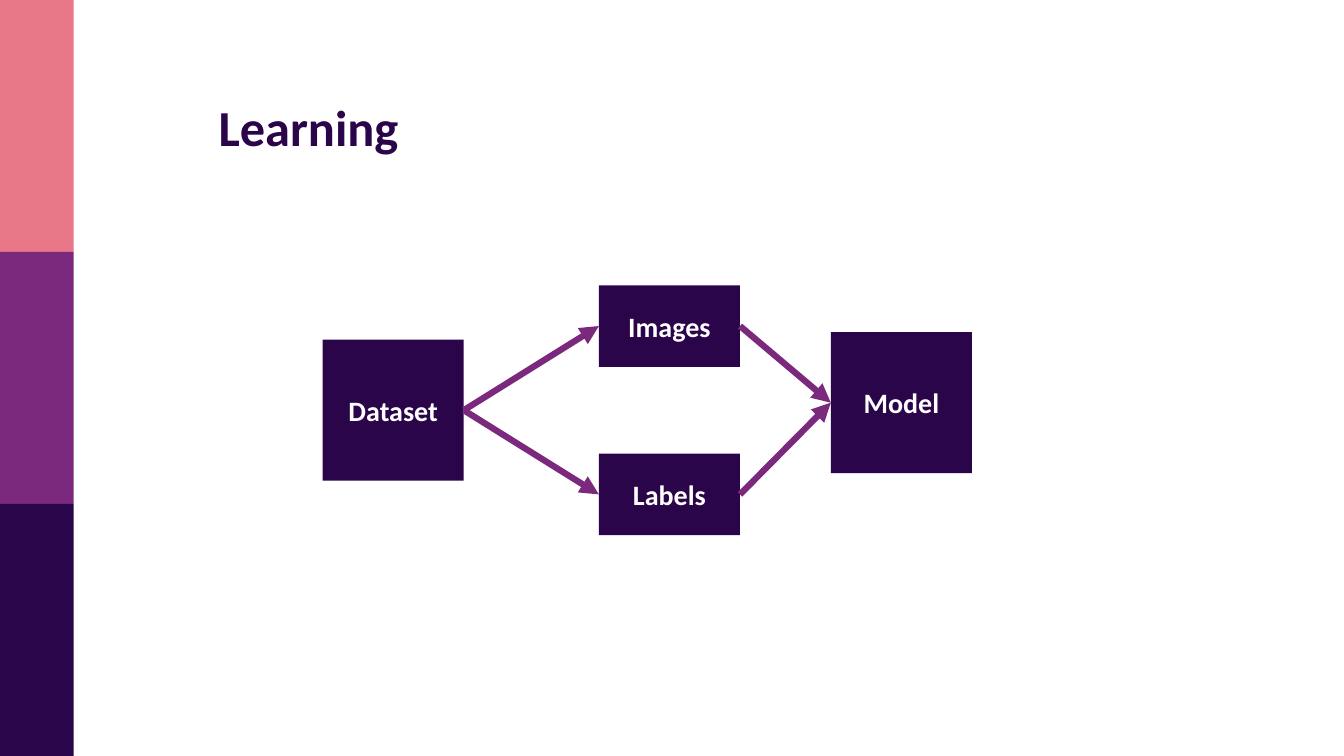
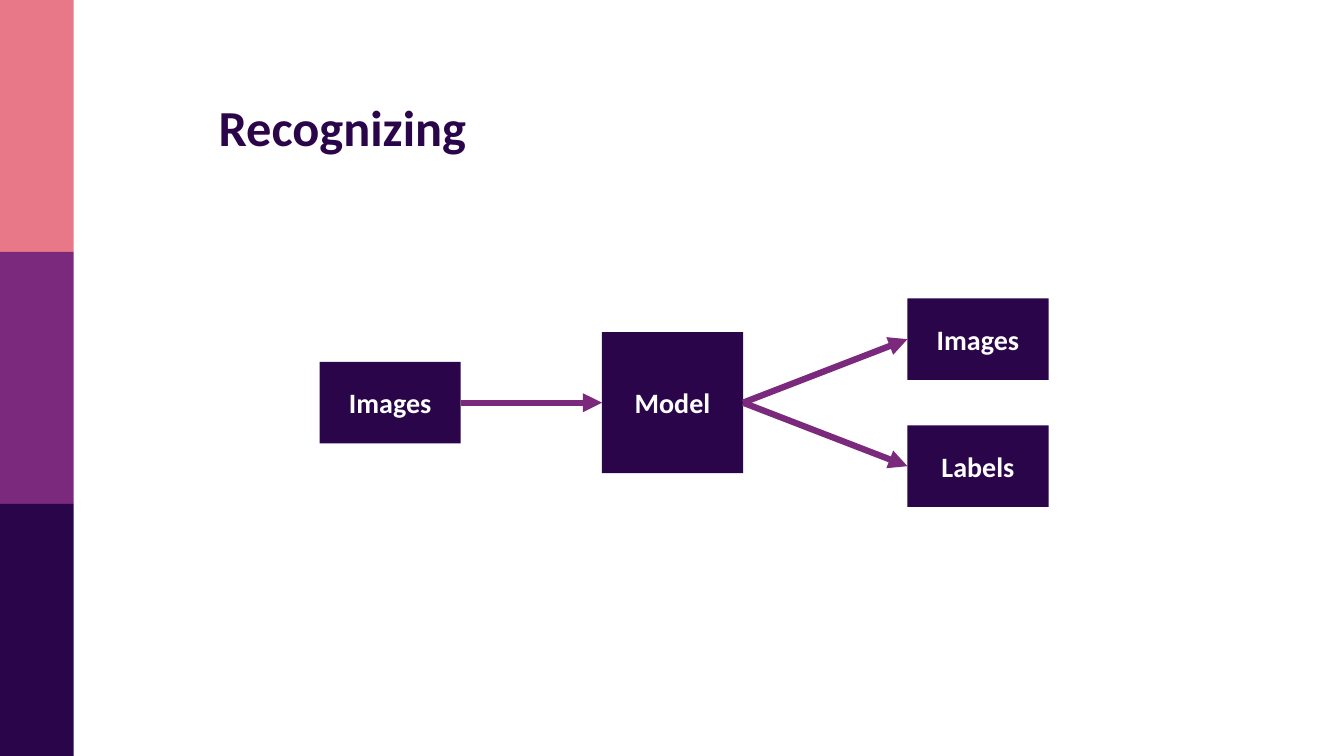
import pptx
import pptx.util
import pptx.dml.color
import pptx.enum.shapes
import pptx.enum.text
import pptx.oxml
import pptx.oxml.ns

COLORS = {"pink": "E87888", "purple": "7B297D", "indigo": "2B0549", "white": "FFFFFF"}
FONT = "Calibri"
SLIDE_W, SLIDE_H = pptx.util.Inches(13.33), pptx.util.Inches(7.5)
BAND_BOX = (0, 0, pptx.util.Inches(0.73), SLIDE_H)
TITLE_BOX = tuple(pptx.util.Inches(v) for v in (2.07, 0.9, 9.67, 0.71))
DIAGRAM_BOX = tuple(pptx.util.Inches(v) for v in (2, 2.5, 10, 3))
COLS, ROWS = 100, 30
NODE_COLS = 14
TALL, SHORT = 14, 8.1
RIGHT, LEFT = 3, 1

DIAGRAMS = [
    ("Learning",
     {"dataset": ("Dataset", 12, 15.7, TALL),
      "images": ("Images", 39.4, 15.7 - 8.35, SHORT),
      "labels": ("Labels", 39.4, 15.7 + 8.35, SHORT),
      "model": ("Model", 62.4, 14.95, TALL)},
     [("dataset", "images"), ("dataset", "labels"), ("images", "model"), ("labels", "model")]),
    ("Recognizing",
     {"input": ("Images", 11.7, 14.95, SHORT),
      "model": ("Model", 39.7, 14.95, TALL),
      "images": ("Images", 70, 14.95 - 6.3, SHORT),
      "labels": ("Labels", 70, 14.95 + 6.3, SHORT)},
     [("input", "model"), ("model", "images"), ("model", "labels")]),
]


def rgb(name):
    return pptx.dml.color.RGBColor.from_string(COLORS[name])


def add_rect(shapes, box, color):
    sp = shapes.add_shape(pptx.enum.shapes.MSO_SHAPE.RECTANGLE, *(int(v) for v in box))
    sp.shadow.inherit = False
    sp.fill.solid()
    sp.fill.fore_color.rgb = rgb(color)
    sp.line.fill.background()
    return sp


def write(tf, text, size, color, align):
    tf.text = text
    tf.word_wrap = True
    p = tf.paragraphs[0]
    p.alignment = align
    font = p.runs[0].font
    font.name, font.size, font.bold = FONT, pptx.util.Pt(size), True
    font.color.rgb = rgb(color)


def add_bands(s, box):
    x, y, w, h = box
    group = s.shapes.add_group_shape()
    names = ("pink", "purple", "indigo")
    for i, name in enumerate(names):
        add_rect(group.shapes, (x, y + i * h / len(names), w, h / len(names)), name)


def add_title(s, box, text):
    tf = s.shapes.add_textbox(*box).text_frame
    write(tf, text, 36, "indigo", pptx.enum.text.PP_ALIGN.LEFT)
    tf.auto_size = pptx.enum.text.MSO_AUTO_SIZE.SHAPE_TO_FIT_TEXT


def add_arrow(s, source, target):
    cx = s.shapes.add_connector(pptx.enum.shapes.MSO_CONNECTOR.STRAIGHT, 0, 0, 0, 0)
    cx.begin_connect(source, RIGHT)
    cx.end_connect(target, LEFT)
    cx.line.color.rgb = rgb("purple")
    cx.line.width = pptx.util.Pt(4.5)
    ln = cx.line._get_or_add_ln()
    tail = pptx.oxml.parse_xml(f'<a:tailEnd {pptx.oxml.ns.nsdecls("a")} type="triangle"/>')
    ln.append(tail)
    effects = pptx.oxml.parse_xml(f'<a:effectLst {pptx.oxml.ns.nsdecls("a")}/>')
    ln.addnext(effects)


def add_diagram(s, box, nodes, links):
    x, y, w, h = box
    col, row = w / COLS, h / ROWS
    placed = {}
    for key, (text, left, middle, rows) in nodes.items():
        node_box = (x + left * col, y + (middle - rows / 2) * row, NODE_COLS * col, rows * row)
        sp = add_rect(s.shapes, node_box, "indigo")
        write(sp.text_frame, text, 20, "white", pptx.enum.text.PP_ALIGN.CENTER)
        sp.text_frame.vertical_anchor = pptx.enum.text.MSO_ANCHOR.MIDDLE
        placed[key] = sp
    for source, target in links:
        add_arrow(s, placed[source], placed[target])


def main():
    prs = pptx.Presentation()
    prs.slide_width, prs.slide_height = SLIDE_W, SLIDE_H
    for title, nodes, links in DIAGRAMS:
        s = prs.slides.add_slide(prs.slide_layouts[6])
        add_bands(s, BAND_BOX)
        add_title(s, TITLE_BOX, title)
        add_diagram(s, DIAGRAM_BOX, nodes, links)
    prs.save("out.pptx")


if __name__ == "__main__":
    main()
